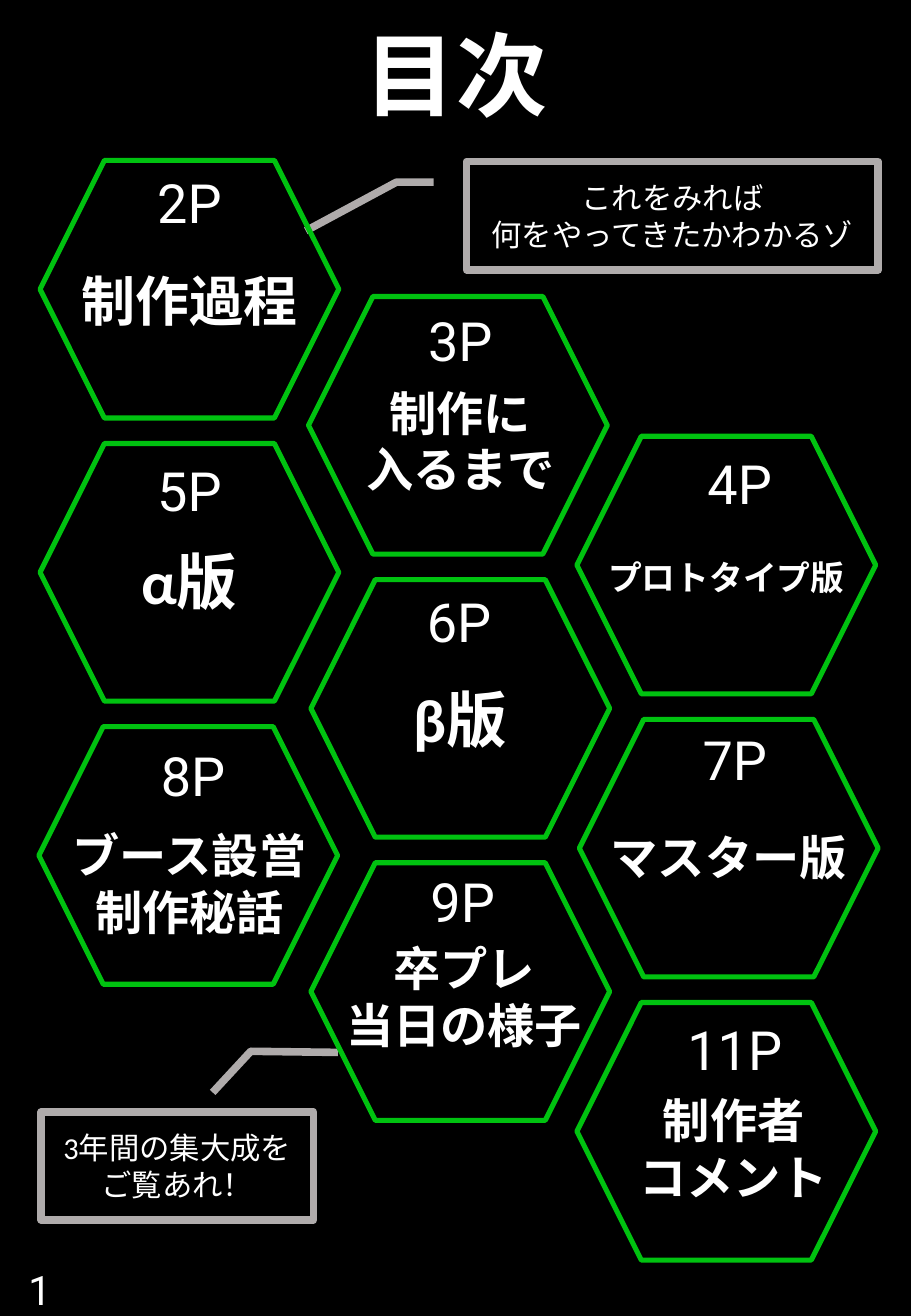
from pptx import Presentation
from pptx.dml.color import RGBColor
from pptx.enum.shapes import MSO_SHAPE
from pptx.enum.text import MSO_ANCHOR, MSO_AUTO_SIZE, PP_ALIGN
from pptx.oxml.ns import qn
from pptx.util import Inches, Pt

BLACK = RGBColor(0x00, 0x00, 0x00)
WHITE = RGBColor(0xFF, 0xFF, 0xFF)
GREEN = RGBColor(0x00, 0xC2, 0x10)
GRAY = RGBColor(0xAF, 0xAB, 0xAB)

HEXAGON_WIDTH, HEXAGON_HEIGHT = 2.46, 2.12
FIRST_LEFT, COLUMN_STEP, ROW_STEP = 0.33, 2.21, 2.33
COLUMN_TOPS = (1.32, 2.44, 3.59)
PAGE_WIDTH, PAGE_HEIGHT = 1.4, 0.64
HEADING_WIDTH = 2.9

CHAPTERS = (
    (0, 0, 0, "2P", 1.56, 1.35, ("制作過程",), 1.56, 2.15, 32),
    (1, 0, 0, "3P", 3.79, 2.48, ("制作に", "入るまで"), 3.79, 3.11, 28),
    (2, 0, 0, "4P", 6.09, 3.66, ("プロトタイプ版",), 5.98, 4.53, 20),
    (0, 1, 0, "5P", 1.56, 3.72, ("α版",), 1.56, 4.43, 36),
    (1, 1, 0.02, "6P", 3.78, 4.79, ("β版",), 3.79, 5.56, 36),
    (2, 1, 0.02, "7P", 6.05, 5.93, ("マスター版",), 6, 6.77, 28),
    (0, 2, -0.01, "8P", 1.59, 6.06, ("ブース設営", "制作秘話"), 1.56, 6.75, 28),
    (1, 2, 0.02, "9P", 3.81, 7.1, ("卒プレ", "当日の様子"), 3.82, 7.68, 28),
    (2, 2, 0, "11P", 6.05, 8.32, ("制作者", "コメント"), 6.04, 8.93, 28),
)


class ContentsSlide:
    heading_font = "Calibri"
    number_font = "Roboto"

    def __init__(self, presentation):
        self.slide = presentation.slides.add_slide(presentation.slide_layouts[5])
        background = self.slide.background.fill
        background.solid()
        background.fore_color.rgb = BLACK

    def set_text(self, shape, lines, size, name, bold=False,
                 align=PP_ALIGN.CENTER, anchor=MSO_ANCHOR.TOP):
        frame = shape.text_frame
        frame_format = {"word_wrap": True, "auto_size": MSO_AUTO_SIZE.NONE,
                        "vertical_anchor": anchor}
        for attribute, value in frame_format.items():
            setattr(frame, attribute, value)
        frame.text = "\n".join(lines)
        font_format = {"name": name, "size": Pt(size), "bold": bold}
        for paragraph in frame.paragraphs:
            paragraph.alignment = align
            for attribute, value in font_format.items():
                setattr(paragraph.font, attribute, value)
            paragraph.font.color.rgb = WHITE

    def title(self, text, left, top, width, height, size):
        title = self.slide.shapes.title
        place = {"left": left, "top": top, "width": width, "height": height}
        for attribute, value in place.items():
            setattr(title, attribute, Inches(value))
        self.set_text(title, (text,), size, self.heading_font, bold=True)

    def text(self, lines, left, top, width, height, size, name, shapes=None, **style):
        shapes = shapes or self.slide.shapes
        box = shapes.add_textbox(Inches(left), Inches(top), Inches(width), Inches(height))
        self.set_text(box, lines, size, name, **style)

    def outline(self, shapes, kind, left, top, width, height, color, weight):
        shape = shapes.add_shape(kind, Inches(left), Inches(top), Inches(width), Inches(height))
        shape.shadow.inherit = False
        shape.fill.background()
        shape.line.color.rgb = color
        shape.line.width = Pt(weight)
        return shape

    def callout(self, lines, left, top, width, height, pointer, flipped=False):
        shape = self.outline(self.slide.shapes, MSO_SHAPE.LINE_CALLOUT_2,
                             left, top, width, height, GRAY, 4.5)
        for index, value in enumerate(pointer):
            shape.adjustments[index] = value
        if flipped:
            shape._element.spPr.find(qn("a:xfrm")).set("flipH", "1")
        self.set_text(shape, lines, 18, self.heading_font, anchor=MSO_ANCHOR.MIDDLE)

    def chapter(self, column, row, nudge, page, page_centre, page_top,
                heading, heading_centre, heading_top, size):
        group = self.slide.shapes.add_group_shape()
        self.outline(group.shapes, MSO_SHAPE.HEXAGON,
                     FIRST_LEFT + column * COLUMN_STEP + nudge,
                     COLUMN_TOPS[column] + row * ROW_STEP,
                     HEXAGON_WIDTH, HEXAGON_HEIGHT, GREEN, 3)
        self.text((page,), page_centre - PAGE_WIDTH / 2, page_top, PAGE_WIDTH, PAGE_HEIGHT,
                  32, self.number_font, shapes=group.shapes)
        self.text(heading, heading_centre - HEADING_WIDTH / 2, heading_top, HEADING_WIDTH,
                  0.1 + len(heading) * size / 60, size, self.heading_font, bold=True)


def main():
    presentation = Presentation()
    presentation.slide_width = Inches(7.5)
    presentation.slide_height = Inches(10.83)
    contents = ContentsSlide(presentation)
    contents.title("目次", 2.68, 0.1, 2.15, 1.01, 54)
    contents.callout(("3年間の集大成を", "ご覧あれ！"), 0.34, 9.15, 2.24, 0.89,
                     (-0.18, 0.37, -0.56, 0.23, -0.55, -0.09), flipped=True)
    contents.callout(("これをみれば", "何をやってきたかわかるゾ"), 3.84, 1.33, 3.39, 0.89,
                     (0.19, -0.08, 0.19, -0.17, 0.64, -0.39))
    contents.text(("1",), 0.02, 10.39, 0.5, 0.44, 24, contents.number_font,
                  align=PP_ALIGN.RIGHT, anchor=MSO_ANCHOR.MIDDLE)
    for chapter in CHAPTERS:
        contents.chapter(*chapter)
    presentation.save("out.pptx")


if __name__ == "__main__":
    main()
